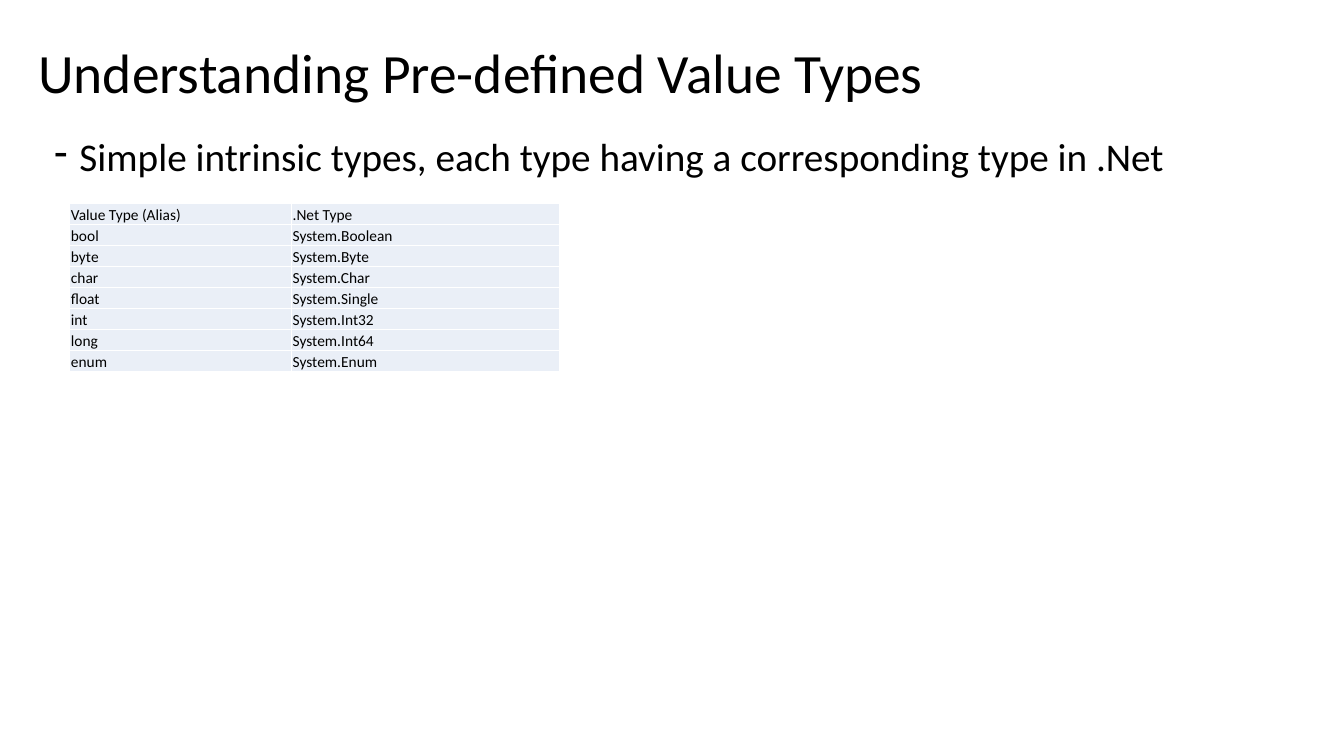
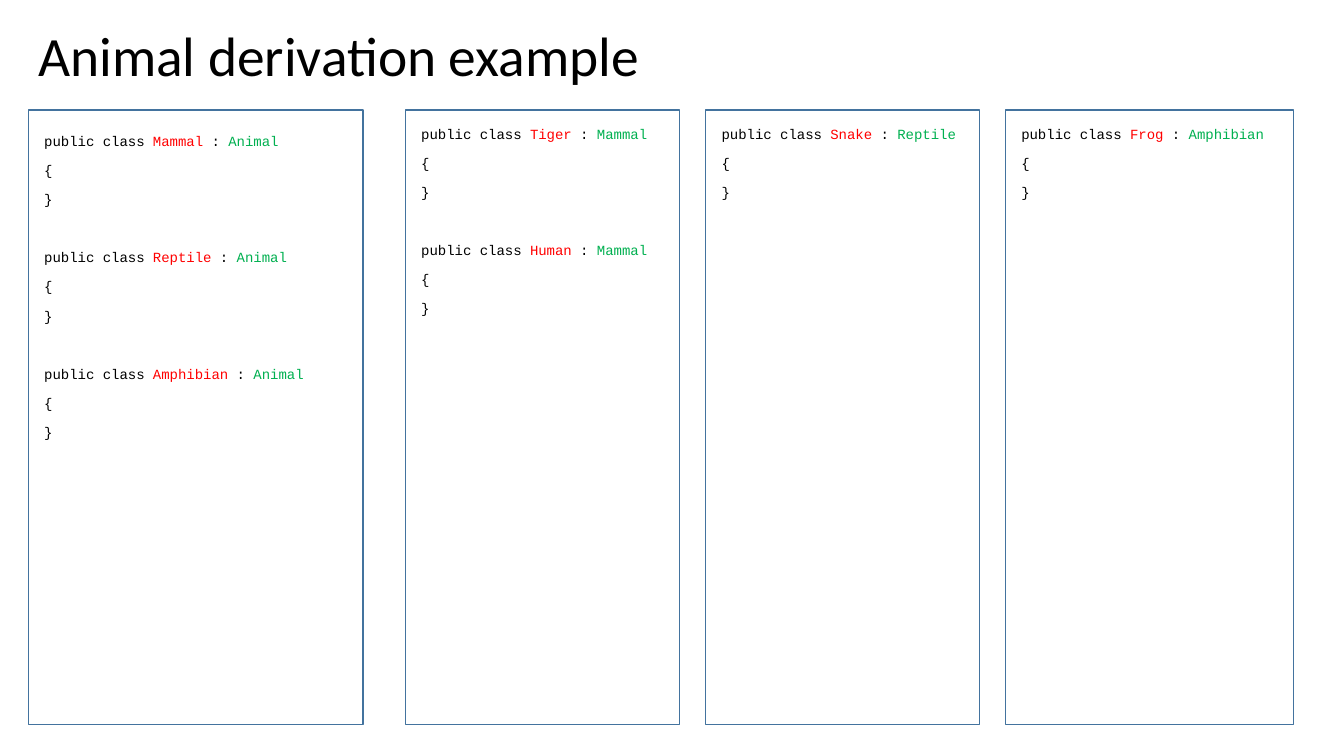
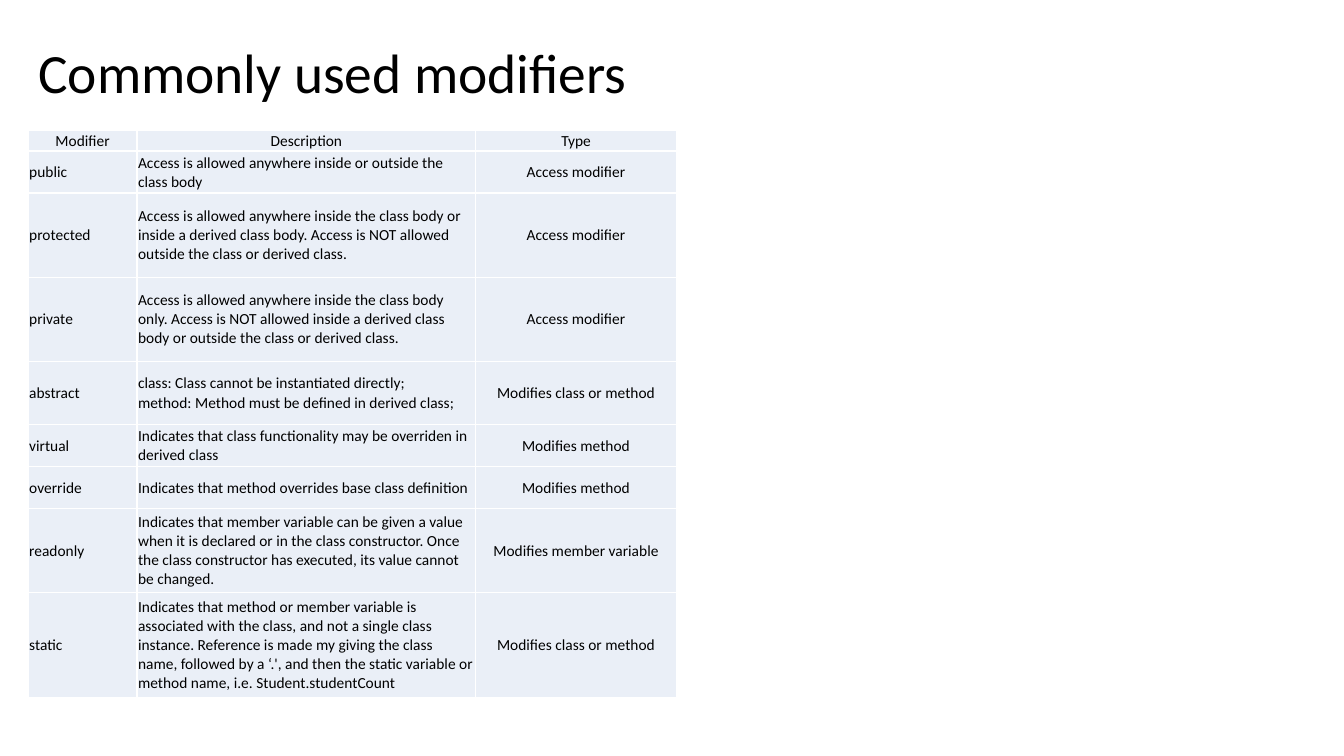
from pptx import Presentation
from pptx.dml.color import RGBColor
from pptx.enum.shapes import MSO_SHAPE
from pptx.enum.text import MSO_ANCHOR, MSO_AUTO_SIZE, PP_ALIGN
from pptx.oxml.ns import qn
from pptx.util import Inches, Pt
from lxml.etree import SubElement, Element

BLACK = RGBColor(0x00, 0x00, 0x00)
WHITE = RGBColor(0xFF, 0xFF, 0xFF)
PALE = RGBColor(0xEA, 0xEF, 0xF7)
BLUE = RGBColor(0x43, 0x73, 0x9E)
RED = RGBColor(0xFF, 0x00, 0x00)
GREEN = RGBColor(0x00, 0xB0, 0x50)
SANS = "Calibri"
MONO = "Courier New"

LEFT = 2.1
LINE = 2.78

TYPES = [
    ("Value Type (Alias)", ".Net Type"),
    ("bool", "System.Boolean"),
    ("byte", "System.Byte"),
    ("char", "System.Char"),
    ("float", "System.Single"),
    ("int", "System.Int32"),
    ("long", "System.Int64"),
    ("enum", "System.Enum"),
]

PANELS = [
    (LEFT, 24.9, 17.07, [("Mammal", "Animal"), ("Reptile", "Animal"), ("Amphibian", "Animal")]),
    (30.15, 20.4, 16.13, [("Tiger", "Mammal"), ("Human", "Mammal")]),
    (52.5, 20.4, 16.13, [("Snake", "Reptile")]),
    (74.8, 21.45, 16.13, [("Frog", "Amphibian")]),
]

ACCESS = "Access modifier"
METHOD = "Modifies method"
BOTH = "Modifies class or method"
WORDS = [
    (1, "Modifier", "Description", "Type"),
    (2, "public", "Access is allowed anywhere inside or outside the class body", ACCESS),
    (4, "protected", "Access is allowed anywhere inside the class body or inside a derived "
     "class body. Access is NOT allowed outside the class or derived class.", ACCESS),
    (4, "private", "Access is allowed anywhere inside the class body only. Access is NOT "
     "allowed inside a derived class body or outside the class or derived class.", ACCESS),
    (3, "abstract", "class: Class cannot be instantiated directly;\n"
     "method: Method must be defined in derived class;", BOTH),
    (2, "virtual", "Indicates that class functionality may be overriden in derived class", METHOD),
    (2, "override", "Indicates that method overrides base class definition", METHOD),
    (4, "readonly", "Indicates that member variable can be given a value when it is declared "
     "or in the class constructor. Once the class constructor has executed, its value "
     "cannot be changed.", "Modifies member variable"),
    (5, "static", "Indicates that method or member variable is associated with the class, "
     "and not a single class instance. Reference is made my giving the class name, followed "
     "by a ‘.', and then the static variable or method name, i.e. Student.studentCount", BOTH),
]


class Deck:
    def __init__(self):
        self.file = Presentation()
        self.file.slide_width = Inches(13.33)
        self.file.slide_height = Inches(7.5)
        self.slide = None

    def cols(self, count):
        return int(self.file.slide_width * count / 100)

    def rows(self, count):
        return int(self.file.slide_height * count / 100)

    def area(self, left, top, width, height):
        return self.cols(left), self.rows(top), self.cols(width), self.rows(height)

    def style(self, para, size, face=SANS):
        para.font.size = Pt(size)
        para.font.name = face
        para.font.color.rgb = BLACK

    def page(self, text, top=5.33, height=9.2):
        self.slide = self.file.slides.add_slide(self.file.slide_layouts[5])
        title = self.slide.shapes.title
        title.left, title.top, title.width, title.height = self.area(LEFT, top, 91, height)
        frame = title.text_frame
        frame.text = text
        frame.auto_size = MSO_AUTO_SIZE.NONE
        frame.vertical_anchor = MSO_ANCHOR.MIDDLE
        para = frame.paragraphs[0]
        para.alignment = PP_ALIGN.LEFT
        para.line_spacing = 0.9
        self.style(para, 39.6)

    def frame(self, *place):
        frame = self.slide.shapes.add_textbox(*self.area(*place)).text_frame
        frame.word_wrap = True
        return frame

    def bullet(self, text, *place):
        para = self.frame(*place).paragraphs[0]
        para.text = text
        para.line_spacing = 0.9
        props = para._p.get_or_add_pPr()
        props.set("marL", str(Inches(0.25)))
        props.set("indent", str(-Inches(0.25)))
        SubElement(props, qn("a:buChar"), char="-")
        self.style(para, 28)

    def panel(self, left, width, top, pairs):
        box = self.slide.shapes.add_shape(MSO_SHAPE.RECTANGLE, *self.area(left, 14.53, width, 81.33))
        box.shadow.inherit = False
        box.fill.background()
        box.line.color.rgb = BLUE
        box.line.width = Pt(1)
        frame = self.frame(left + 0.45, top, width - 0.95, 76.27)
        for index, (name, base) in enumerate(pairs):
            head = [("public class ", BLACK), (name, RED), (" : ", BLACK), (base, GREEN)]
            for row, parts in enumerate([head, [("{", BLACK)], [("}", BLACK)]]):
                first = index == row == 0
                para = frame.paragraphs[0] if first else frame.add_paragraph()
                para.line_spacing = 0.9
                para.space_before = Pt(0 if first else 10 if row else 30.8)
                self.style(para, 10, MONO)
                for text, color in parts:
                    run = para.add_run()
                    run.text = text
                    if color != BLACK:
                        run.font.color.rgb = color

    def edge(self, cell):
        props = cell._tc.get_or_add_tcPr()
        for index, side in enumerate("LRTB"):
            line = Element(qn(f"a:ln{side}"), w=str(Pt(1)))
            fill = SubElement(line, qn("a:solidFill"))
            SubElement(fill, qn("a:srgbClr"), val=str(WHITE))
            props.insert(index, line)

    def table(self, left, top, widths, lines, data, anchor, center):
        place = self.area(left, top, sum(widths), LINE * sum(lines))
        table = self.slide.shapes.add_table(len(data), len(widths), *place).table
        table.first_row = table.horz_banding = False
        for col, width in zip(table.columns, widths):
            col.width = self.cols(width)
        for row, count in zip(table.rows, lines):
            row.height = self.rows(LINE * count)
        for y, texts in enumerate(data):
            for x, text in enumerate(texts):
                cell = table.cell(y, x)
                cell.fill.solid()
                cell.fill.fore_color.rgb = PALE
                cell.vertical_anchor = anchor
                cell.margin_left = cell.margin_right = cell.margin_top = Inches(0.01)
                cell.margin_bottom = 0
                self.edge(cell)
                para = cell.text_frame.paragraphs[0]
                para.text = text
                para.alignment = PP_ALIGN.CENTER if center(y, x) else PP_ALIGN.LEFT
                self.style(para, 11)


def main():
    deck = Deck()

    deck.page("Understanding Pre-defined Value Types")
    deck.bullet("Simple intrinsic types, each type having a corresponding type in .Net",
                3.3, 17.6, 94.75, 81.47)
    deck.table(5.2, 26.93, [16.5, 19.95], [1] * len(TYPES), TYPES,
               MSO_ANCHOR.BOTTOM, lambda y, x: False)

    deck.page("Animal derivation example", 2.93, 9.73)
    for panel in PANELS:
        deck.panel(*panel)

    deck.page("Commonly used modifiers")
    deck.table(LEFT, 17.2, [8.1, 25.2, 14.93], [row[0] for row in WORDS],
               [row[1:] for row in WORDS], MSO_ANCHOR.MIDDLE,
               lambda y, x: y == 0 or x == 2)

    deck.file.save("out.pptx")


if __name__ == "__main__":
    main()
